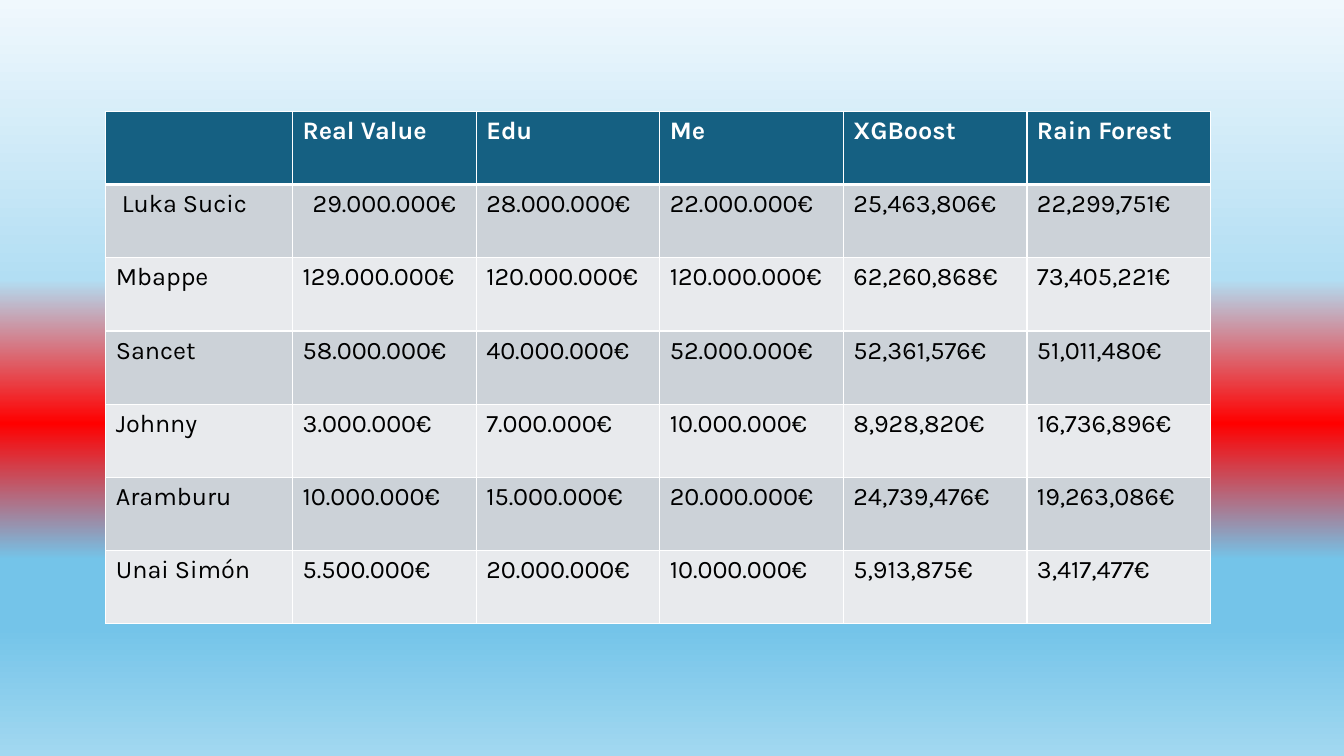
from lxml import etree
from pptx import Presentation
from pptx.dml.color import RGBColor
from pptx.enum import text
from pptx.oxml import ns
from pptx.util import Pt

VALUES = [
    ("", "Real Value", "Edu", "Me", "XGBoost", "Rain Forest"),
    (" Luka Sucic", "29.000.000€", "28.000.000€", "22.000.000€", "25,463,806€", "22,299,751€"),
    ("Mbappe", "129.000.000€", "120.000.000€", "120.000.000€", "62,260,868€", "73,405,221€"),
    ("Sancet", "58.000.000€", "40.000.000€", "52.000.000€", "52,361,576€", "51,011,480€"),
    ("Johnny", "3.000.000€", "7.000.000€", "10.000.000€", "8,928,820€", "16,736,896€"),
    ("Aramburu", "10.000.000€", "15.000.000€", "20.000.000€", "24,739,476€", "19,263,086€"),
    ("Unai Simón", "5.500.000€", "20.000.000€", "10.000.000€", "5,913,875€", "3,417,477€"),
]
COLORS = {
    "header": "156082",
    "odd": "CCD2D8",
    "even": "E8EAED",
    "white": "FFFFFF",
    "black": "000000",
}
SKY = [(0, "F0F8FD"), (37, "B2DEF3"), (56, "FF0000"), (74, "74C4E9"), (83, "74C4E9"), (100, "A2D8F0")]
CENTERED = (1, 1)
LEFT, TOP = 75.6, 79.5
NAME_WIDTH, VALUE_WIDTH, ROW_HEIGHT = 133.4, 131.15, 52.3
THIN, THICK = 1, 3


def paint_background(page):
    fill = page.background.fill
    fill.gradient()
    fill.gradient_angle = 270
    stops = next(page.element.iter(ns.qn("a:gsLst")))
    for stop in list(stops):
        stops.remove(stop)
    for percent, color in SKY:
        stop = etree.SubElement(stops, ns.qn("a:gs"), pos=str(percent * 1000))
        etree.SubElement(stop, ns.qn("a:srgbClr"), val=color)


def draw_border(cell, side, width):
    properties = cell._tc.get_or_add_tcPr()
    line = etree.SubElement(properties, ns.qn(f"a:ln{side}"), w=str(Pt(width)))
    solid = etree.SubElement(line, ns.qn("a:solidFill"))
    etree.SubElement(solid, ns.qn("a:srgbClr"), val=COLORS["white"])


def fill_cell(cell, row, column, value):
    header = row == 0
    for side in "LRTB":
        below_header = (row, side) in ((0, "B"), (1, "T"))
        draw_border(cell, side, THICK if below_header else THIN)
    shade = "header" if header else "odd" if row % 2 else "even"
    cell.fill.solid()
    cell.fill.fore_color.rgb = RGBColor.from_string(COLORS[shade])
    cell.text = value
    para = cell.text_frame.paragraphs[0]
    para.alignment = text.PP_ALIGN.CENTER if (row, column) == CENTERED else text.PP_ALIGN.LEFT
    para.font.name = "Karla"
    para.font.size = Pt(18)
    para.font.bold = header
    para.font.color.rgb = RGBColor.from_string(COLORS["white" if header else "black"])


def add_values(page):
    widths = [NAME_WIDTH] + [VALUE_WIDTH] * (len(VALUES[0]) - 1)
    frame = page.shapes.add_table(
        len(VALUES), len(widths), Pt(LEFT), Pt(TOP), Pt(sum(widths)), Pt(ROW_HEIGHT * len(VALUES))
    )
    table = frame.table
    for column, width in zip(table.columns, widths):
        column.width = Pt(width)
    for row, values in enumerate(VALUES):
        table.rows[row].height = Pt(ROW_HEIGHT)
        for column, value in enumerate(values):
            fill_cell(table.cell(row, column), row, column, value)


def main():
    deck = Presentation()
    deck.slide_width, deck.slide_height = Pt(960), Pt(540)
    page = deck.slides.add_slide(deck.slide_layouts[6])
    paint_background(page)
    add_values(page)
    deck.save("out.pptx")


if __name__ == "__main__":
    main()
